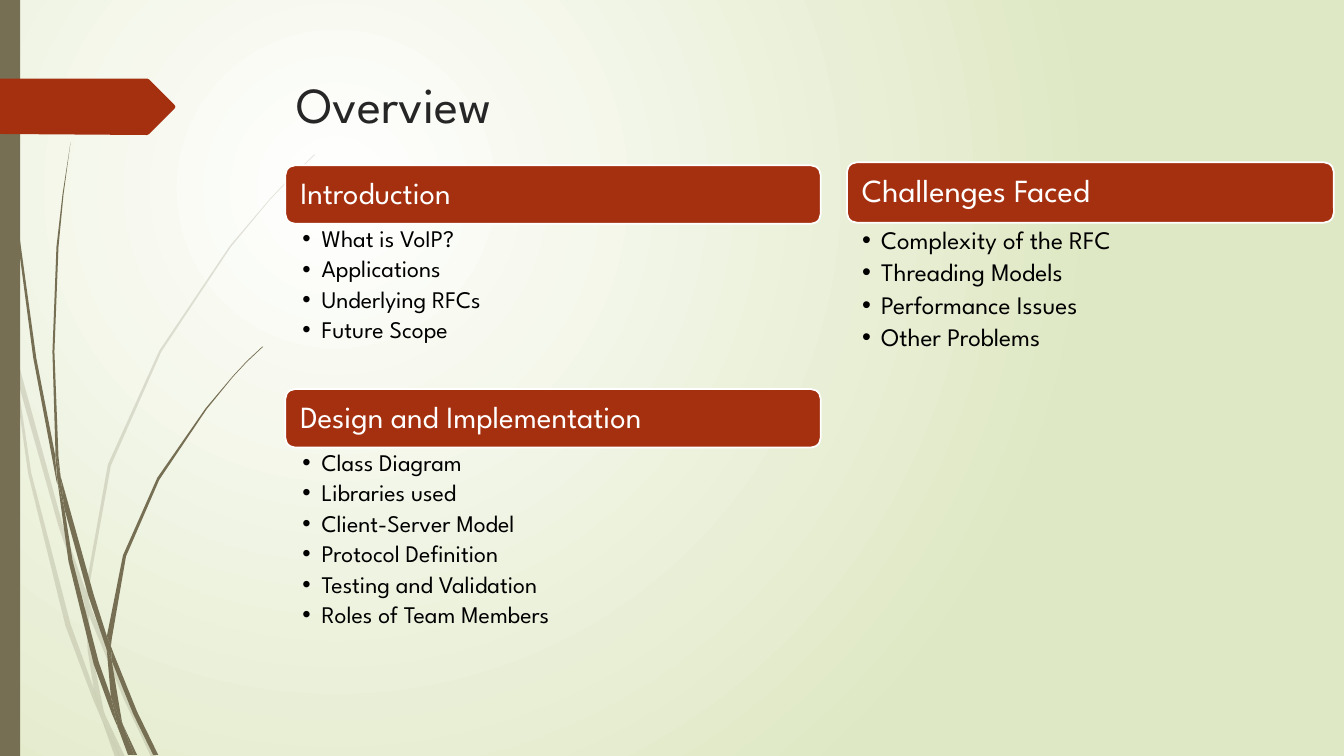
import collections

import lxml.etree
import pptx
import pptx.dml.color
import pptx.enum.shapes
import pptx.enum.text
import pptx.oxml.ns
import pptx.util

Box = collections.namedtuple("Box", "left top width height")
COLUMNS, ROWS = 1333, 750
CELL = pptx.util.Inches(0.01)
FONT = "League Spartan"
RUST, OLIVE, WHITE, BLACK, INK, LIME = "A53010", "766F54", "FFFFFF", "000000", "262626", "DFE8C4"
SHAPE = pptx.enum.shapes.MSO_SHAPE
ANCHOR = pptx.enum.text.MSO_ANCHOR
LEFT = pptx.enum.text.PP_ALIGN.LEFT

PALE_BLADES = [
    [(11, 350), (9, 322), (0, 282), (0, 299), (10, 344)],
    [(58, 522), (84, 599), (85, 586), (62, 520), (14, 345), (17, 376)],
    [(92, 607), (88, 596), (88, 610), (123, 694), (150, 751), (155, 751), (127, 692)],
    [(119, 751), (124, 751), (105, 711)],
    [(93, 683), (70, 619), (31, 469), (17, 376), (11, 350), (28, 470), (65, 621),
     (92, 693), (101, 714), (99, 707)],
    [(84, 599), (87, 646), (93, 683), (96, 692), (105, 711), (103, 706), (91, 646),
     (88, 610), (88, 608)],
    [(88, 584), (110, 462), (160, 349), (229, 245), (268, 198), (290, 175), (312, 154),
     (312, 153), (289, 175), (268, 197), (228, 244), (158, 348), (107, 461), (85, 584),
     (85, 586), (88, 596)],
    [(101, 714), (114, 751), (119, 751)],
    [(88, 608), (88, 596), (85, 586), (84, 599)],
    [(96, 692), (93, 683), (99, 707), (101, 714), (119, 751), (105, 711)],
]
DARK_BLADES = [
    [(7, 110), (17, 233), (33, 355), (56, 477), (57, 481), (55, 457), (55, 453), (36, 355),
     (19, 232), (8, 109), (5, 48), (4, 0), (3, 0), (4, 48)],
    [(88, 592), (106, 645), (106, 631), (93, 590), (60, 472), (64, 505)],
    [(113, 649), (110, 641), (111, 656), (132, 708), (152, 749), (157, 749), (136, 706)],
    [(110, 691), (98, 657), (72, 556), (64, 505), (57, 477), (68, 557), (93, 659),
     (111, 708), (117, 722), (116, 717)],
    [(60, 472), (58, 453), (54, 349), (58, 245), (63, 193), (70, 141), (62, 193), (56, 245),
     (52, 349), (55, 449)],
    [(133, 749), (136, 749), (122, 719)],
    [(57, 477), (64, 505), (60, 472), (55, 449), (55, 453)],
    [(111, 633), (125, 552), (158, 476), (205, 406), (231, 374), (245, 359), (261, 344),
     (260, 344), (245, 358), (231, 373), (204, 405), (156, 474), (122, 551), (106, 631),
     (110, 641)],
    [(117, 722), (127, 749), (131, 749)],
    [(106, 645), (110, 691), (116, 706), (122, 719), (121, 716), (111, 656), (109, 651)],
    [(106, 645), (109, 651), (111, 656), (110, 641), (106, 631)],
    [(116, 706), (110, 691), (116, 717), (117, 722), (130, 749), (133, 749), (122, 719)],
]
BANNER = [(0, 0), (146, 0), (148, 1), (173, 26), (174, 28), (173, 30), (148, 55), (146, 56), (0, 55)]


def paint(color, code):
    color.rgb = pptx.dml.color.RGBColor.from_string(code)


def assign(target, values):
    for name, value in values.items():
        setattr(target, name, value)


def place(shape, box):
    assign(shape, {name: round(value * CELL) for name, value in box._asdict().items()})


def add_node(parent, tag, **attributes):
    node = lxml.etree.SubElement(parent, pptx.oxml.ns.qn(tag))
    for name, value in attributes.items():
        node.set(name, str(value))
    return node


def fill_shape(shape, code):
    shape.shadow.inherit = False
    shape.fill.solid()
    paint(shape.fill.fore_color, code)
    shape.line.fill.background()


def style_frame(frame, margins, anchor):
    sides = ("margin_left", "margin_top", "margin_right", "margin_bottom")
    assign(frame, {side: round(margin * CELL) for side, margin in zip(sides, margins)})
    assign(frame, {"word_wrap": True, "vertical_anchor": anchor,
                   "auto_size": pptx.enum.text.MSO_AUTO_SIZE.NONE})


def write(para, text, size, code, spacing=1.0, after=0):
    assign(para, {"alignment": LEFT, "line_spacing": spacing,
                  "space_before": pptx.util.Pt(0), "space_after": pptx.util.Pt(after)})
    span = para.add_run()
    span.text = text
    assign(span.font, {"name": FONT, "size": pptx.util.Pt(size), "bold": False})
    paint(span.font.color, code)


def draw_outline(shapes, box, points, code):
    builder = shapes.build_freeform(*points[0], scale=CELL)
    builder.add_line_segments(points[1:], close=True)
    outline = builder.convert_to_shape(box.left * CELL, box.top * CELL)
    fill_shape(outline, code)
    return outline


def draw_background(page):
    fill = page.background.fill
    fill.gradient()
    for stop, code, position in zip(fill.gradient_stops, (WHITE, LIME), (0, 1)):
        paint(stop.color, code)
        stop.position = position
    gradient = page._element.find(".//" + pptx.oxml.ns.qn("a:gradFill"))
    gradient.remove(gradient.find(pptx.oxml.ns.qn("a:lin")))
    circle = add_node(gradient, "a:path", path="circle")
    add_node(circle, "a:fillToRect", l=50000, t=50000, r=100000, b=100000)


def draw_grass(page, box):
    for blades, alpha in ((PALE_BLADES, 20000), (DARK_BLADES, 100000)):
        tuft = page.shapes.add_group_shape()
        for points in blades:
            blade = draw_outline(tuft.shapes, box, points, OLIVE)
            if alpha < 100000:
                color = blade._element.spPr.find(".//" + pptx.oxml.ns.qn("a:srgbClr"))
                add_node(color, "a:alpha", val=alpha)


def draw_margin(page, box):
    strip = page.shapes.add_shape(SHAPE.RECTANGLE, 0, 0, 0, 0)
    place(strip, box)
    fill_shape(strip, OLIVE)
    draw_outline(page.shapes, box._replace(top=box.top + 78), BANNER, RUST)


def write_title(title, box, text):
    place(title, box)
    style_frame(title.text_frame, (10, 5, 10, 5), ANCHOR.TOP)
    write(title.text_frame.paragraphs[0], text, 36, INK)


def draw_section(page, body, box, heading, items, bar_height, gap, indent, sizes):
    bar = page.shapes.add_shape(SHAPE.ROUNDED_RECTANGLE, 0, 0, 0, 0)
    place(bar, box._replace(height=bar_height))
    fill_shape(bar, RUST)
    paint(bar.line.color, WHITE)
    bar.line.width = pptx.util.Pt(1.25)
    style_frame(bar.text_frame, (12, 9, 12, 9), ANCHOR.MIDDLE)
    write(bar.text_frame.paragraphs[0], heading, sizes[0], WHITE, 0.9)

    offset = bar_height + gap
    place(body, box._replace(top=box.top + offset, height=box.height - offset))
    frame = body.text_frame
    style_frame(frame, (indent, 3, 17, 3), ANCHOR.TOP)
    for index, item in enumerate(items):
        para = frame.add_paragraph() if index else frame.paragraphs[0]
        para.level = 1
        write(para, item, sizes[1], BLACK, 0.9, sizes[1] * 0.2)
        settings = para._p.get_or_add_pPr()
        settings.set("marL", str(19 * CELL))
        settings.set("indent", str(-19 * CELL))
        add_node(settings, "a:buFont", typeface="Arial")
        add_node(settings, "a:buChar", char="•")


def build_overview(deck):
    page = deck.slides.add_slide(deck.slide_layouts.get_by_name("Comparison"))
    holders = {holder.placeholder_format.idx: holder for holder in page.placeholders}
    draw_background(page)
    draw_grass(page, Box(0, 0, COLUMNS, ROWS))
    draw_margin(page, Box(0, 0, 20, ROWS))
    write_title(holders[0], Box(284, 68, 975, 140), "Overview")
    wide = {"bar_height": 58, "gap": 0, "indent": 17, "sizes": (22, 17)}
    narrow = {"bar_height": 60, "gap": 2, "indent": 15, "sizes": (23, 18)}
    sections = [
        (2, Box(283, 164, 531, 222), "Introduction",
         ["What is VoIP?", "Applications", "Underlying RFCs", "Future Scope"], wide),
        (1, Box(283, 386, 531, 252), "Design and Implementation",
         ["Class Diagram", "Libraries used", "Client-Server Model", "Protocol Definition",
          "Testing and Validation", "Roles of Team Members"], wide),
        (4, Box(840, 161, 483, 234), "Challenges Faced",
         ["Complexity of the RFC", "Threading Models", "Performance Issues", "Other Problems"], narrow),
    ]
    for holder, box, heading, items, style in sections:
        draw_section(page, holders[holder], box, heading, items, **style)
    for holder in list(page.placeholders):
        if not holder.text_frame.text:
            holder._element.getparent().remove(holder._element)


deck = pptx.Presentation()
assign(deck, {"slide_width": COLUMNS * CELL, "slide_height": ROWS * CELL})
build_overview(deck)
deck.save("out.pptx")
